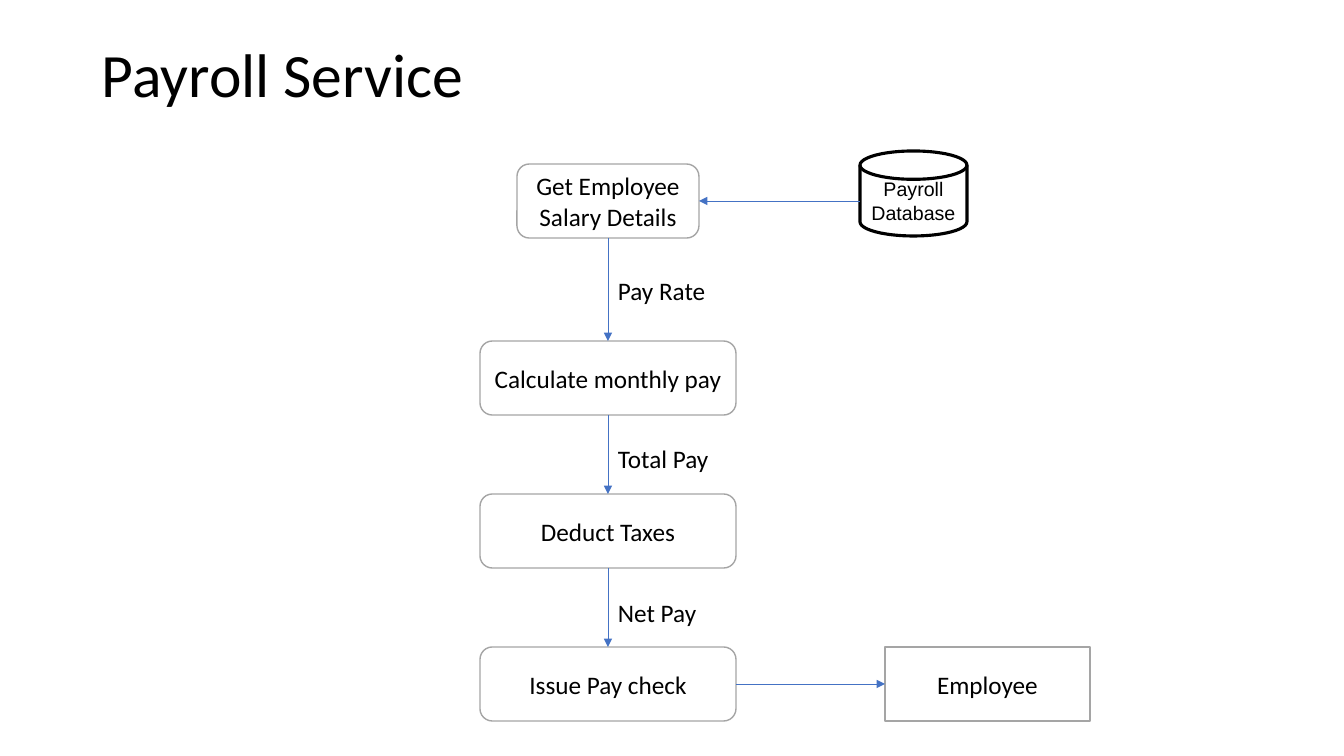
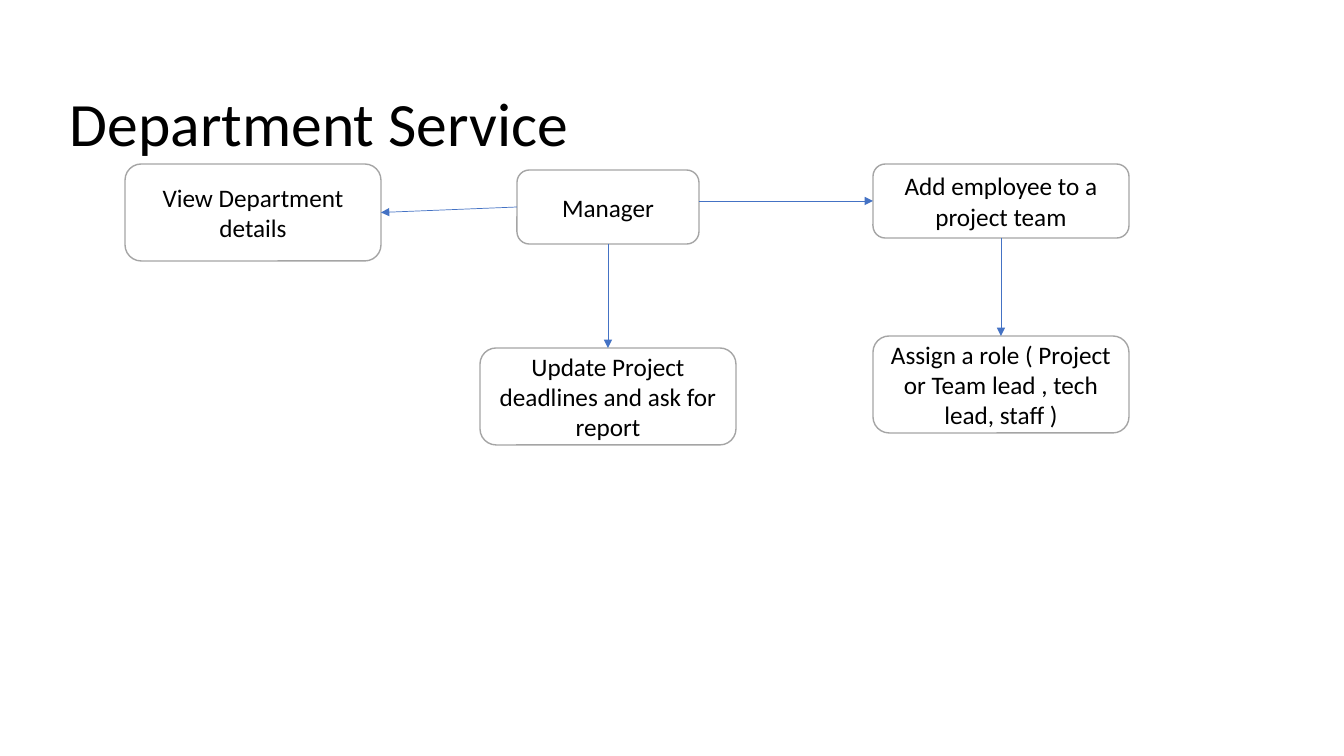
from lxml import etree
from pptx import Presentation
from pptx.dml.color import RGBColor
from pptx.enum.shapes import MSO_CONNECTOR, MSO_SHAPE
from pptx.enum.text import MSO_ANCHOR, PP_ALIGN
from pptx.oxml.ns import qn
from pptx.util import Emu, Pt

SCALE = 914400 / 100.8
COLORS = {"text": "000000", "box": "FFFFFF", "border": "A5A5A5", "arrow": "4472C4"}
STEP = MSO_SHAPE.FLOWCHART_ALTERNATE_PROCESS
TOP, LEFT, BOTTOM, RIGHT = range(4)  # connection sites of the flowchart shapes
AXIS = 608
WIDE, NARROW = 256, 182
LOW, TALL = 74, 97


def px(length):
    """Turn pixels into EMU."""
    return Emu(round(length * SCALE))


def color(name):
    """Look up a colour of the deck."""
    return RGBColor.from_string(COLORS[name])


def write(shape, text, size=18, font="Calibri", align=PP_ALIGN.LEFT, anchor=MSO_ANCHOR.TOP):
    """Put one styled paragraph into a shape and return it."""
    frame = shape.text_frame
    frame.word_wrap = True
    frame.vertical_anchor = anchor
    paragraph = frame.paragraphs[0]
    paragraph.alignment = align
    run = paragraph.add_run()
    run.text = text
    run.font.size = Pt(size)
    run.font.name = font
    run.font.color.rgb = color("text")
    return paragraph


def add_text(slide, box, text, **style):
    """Add a text box and return its paragraph."""
    return write(slide.shapes.add_textbox(*map(px, box)), text, **style)


def add_title(slide, left, top, text):
    """Add the slide title in a band whose corner is given."""
    title = add_text(slide, (left, top, 1159, 146), text, size=44, anchor=MSO_ANCHOR.MIDDLE)
    title.line_spacing = 0.9


def add_box(slide, box, text, kind=STEP):
    """Add a white process box with a grey border."""
    shape = slide.shapes.add_shape(kind, *map(px, box))
    shape.shadow.inherit = False
    shape.fill.solid()
    shape.fill.fore_color.rgb = color("box")
    shape.line.color.rgb = color("border")
    shape.line.width = Pt(1)
    write(shape, text, align=PP_ALIGN.CENTER, anchor=MSO_ANCHOR.MIDDLE)
    return shape


def add_database(slide, box, text):
    """Add an unfilled database drum with a heavy outline."""
    drum = slide.shapes.add_shape(MSO_SHAPE.FLOWCHART_MAGNETIC_DISK, *map(px, box))
    drum.shadow.inherit = False
    drum.fill.background()
    drum.line.color.rgb = color("text")
    drum.line.width = Pt(2.25)
    write(drum, text, 14, "Arial", PP_ALIGN.CENTER, MSO_ANCHOR.MIDDLE)


def add_arrow(slide, start, target, site):
    """Draw an arrow to a site of target from a (shape, site) pair or an (x, y) point."""
    glued = not isinstance(start[0], int)
    x, y = (0, 0) if glued else map(px, start)
    arrow = slide.shapes.add_connector(MSO_CONNECTOR.STRAIGHT, x, y, x, y)
    if glued:
        arrow.begin_connect(*start)
    arrow.end_connect(target, site)
    arrow.line.color.rgb = color("arrow")
    arrow.line.width = Pt(0.5)
    etree.SubElement(arrow.line._get_or_add_ln(), qn("a:tailEnd"), type="triangle")
    etree.SubElement(arrow._element.spPr, qn("a:effectLst"))


def payroll_slide(slide):
    """Build the payroll flow: a column of steps with its source and receiver."""
    add_title(slide, 92, 5, "Payroll Service")
    steps = [
        (164, NARROW, "Get Employee Salary Details"),
        (341, WIDE, "Calculate monthly pay"),
        (494, WIDE, "Deduct Taxes"),
        (647, WIDE, "Issue Pay check"),
    ]
    boxes = [add_box(slide, (AXIS - width // 2, top, width, LOW), text)
             for top, width, text in steps]
    for upper, lower in zip(boxes, boxes[1:]):
        add_arrow(slide, (upper, BOTTOM), lower, TOP)
    for top, width, text in [(270, 118, "Pay Rate"), (438, 199, "Total Pay"),
                             (592, 106, "Net Pay")]:
        add_text(slide, (AXIS, top, width, 40), text)

    add_database(slide, (860, 151, 107, 85), "Payroll Database")
    add_arrow(slide, (860, 201), boxes[0], RIGHT)
    employee = add_box(slide, (885, 647, 205, LOW), "Employee", MSO_SHAPE.FLOWCHART_PROCESS)
    add_arrow(slide, (boxes[-1], RIGHT), employee, LEFT)


def department_slide(slide):
    """Build the actions that start from the manager."""
    add_title(slide, 60, 53, "Department Service")
    manager = add_box(slide, (AXIS - NARROW // 2, 170, NARROW, LOW), "Manager")
    view = add_box(slide, (125, 164, WIDE, TALL), "View Department details")
    update = add_box(slide, (AXIS - WIDE // 2, 348, WIDE, TALL),
                     "Update Project deadlines and ask for report")
    add = add_box(slide, (873, 164, WIDE, LOW), "Add employee to a project team")
    assign = add_box(slide, (873, 336, WIDE, TALL),
                     "Assign a role ( Project or Team lead , tech lead, staff )")
    add_arrow(slide, (manager, LEFT), view, RIGHT)
    add_arrow(slide, (manager, BOTTOM), update, TOP)
    add_arrow(slide, (AXIS + NARROW // 2, 201), add, LEFT)
    add_arrow(slide, (add, BOTTOM), assign, TOP)


deck = Presentation()
deck.slide_width, deck.slide_height = px(1344), px(756)
for build in (payroll_slide, department_slide):
    build(deck.slides.add_slide(deck.slide_layouts[6]))
deck.save("out.pptx")
